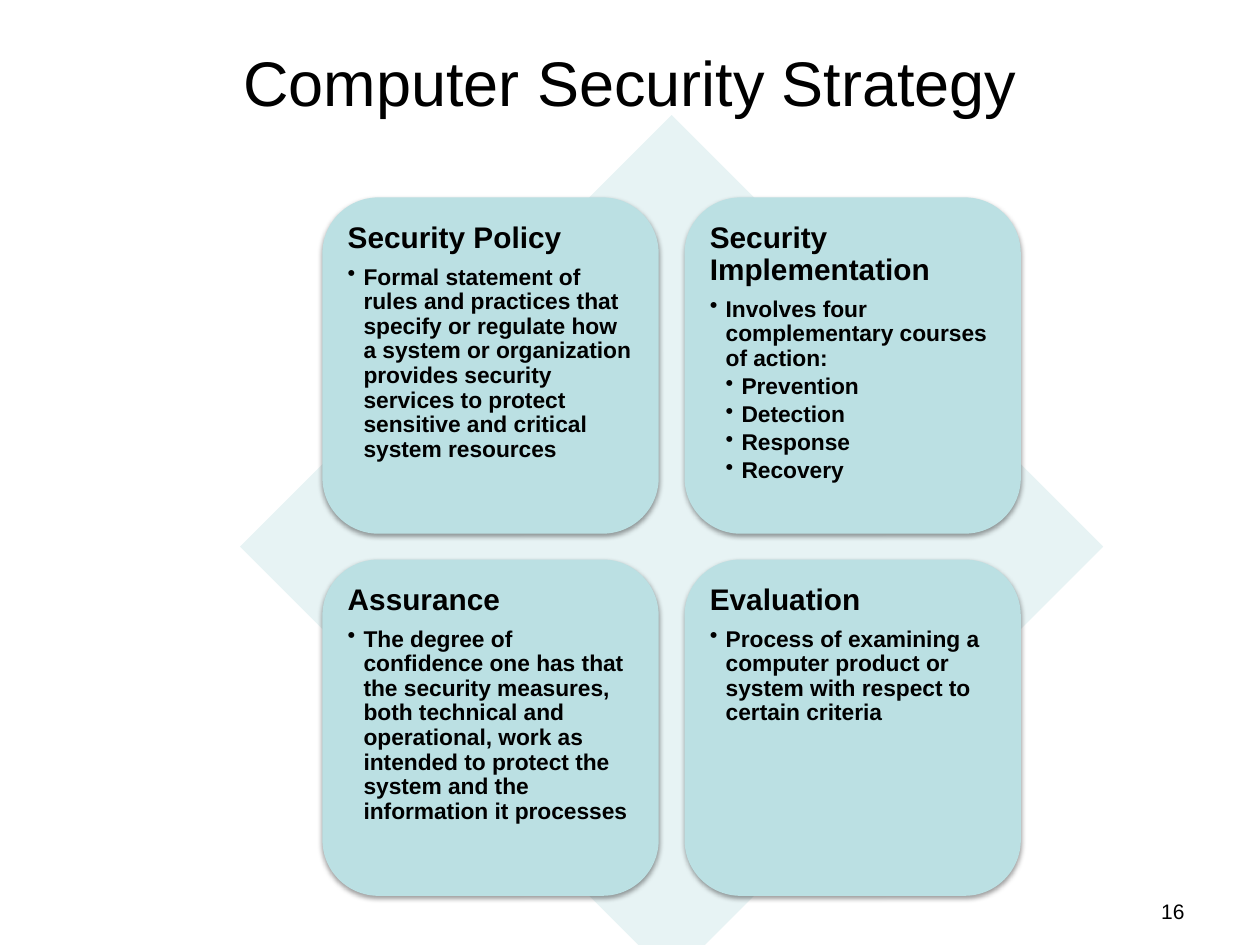
"""Build the Computer Security Strategy slide."""
from dataclasses import dataclass

from pptx import Presentation
from pptx.dml.color import RGBColor
from pptx.enum.shapes import MSO_SHAPE
from pptx.enum.text import MSO_ANCHOR, PP_ALIGN
from pptx.oxml import parse_xml
from pptx.oxml.ns import nsdecls
from pptx.util import Cm, Pt

BLACK = "000000"
TILE_COLOUR = "BBE0E3"
DIAMOND_COLOUR = "E7F3F4"
TILE_SIZE, TILE_PITCH = 6.78, 7.3
GRID_LEFT, GRID_TOP = 6.5, 3.98
DIAMOND_SIZE = 17.4
INDENT = 0.32


@dataclass(frozen=True)
class Tile:
    heading: str
    statement: str
    actions: tuple[str, ...] = ()


TILES = (
    Tile("Security Policy",
         "Formal statement of rules and practices that specify or regulate how a system "
         "or organization provides security services to protect sensitive and critical "
         "system resources"),
    Tile("Security Implementation",
         "Involves four complementary courses of action:",
         ("Prevention", "Detection", "Response", "Recovery")),
    Tile("Assurance",
         "The degree of confidence one has that the security measures, both technical and "
         "operational, work as intended to protect the system and the information it processes"),
    Tile("Evaluation",
         "Process of examining a computer product or system with respect to certain criteria"),
)


def colour(value: str) -> RGBColor:
    return RGBColor.from_string(value)


def write(paragraph, text: str, *, size: float, bold: bool = False,
          align=PP_ALIGN.LEFT, level: int = 0, line_spacing=None, space_after=None) -> None:
    if level:
        properties = paragraph._p.get_or_add_pPr()
        properties.set("marL", str(Cm(INDENT * level)))
        properties.set("indent", str(-Cm(INDENT)))
        properties.append(parse_xml(f'<a:buChar {nsdecls("a")} char="•"/>'))
        paragraph.level = level
    paragraph.alignment = align
    if line_spacing is not None:
        paragraph.line_spacing = line_spacing
    if space_after is not None:
        paragraph.space_after = Pt(space_after)
    run = paragraph.add_run()
    run.text = text
    run.font.name = "Arial"
    run.font.size = Pt(size)
    run.font.bold = bold
    run.font.color.rgb = colour(BLACK)


def add_block(slide, kind, left: float, top: float, size: float, fill: str):
    shape = slide.shapes.add_shape(kind, Cm(left), Cm(top), Cm(size), Cm(size))
    shape.shadow.inherit = False
    shape.fill.solid()
    shape.fill.fore_color.rgb = colour(fill)
    shape.line.fill.background()
    return shape


def add_soft_shadow(shape) -> None:
    effects = shape._element.spPr.find(
        "{http://schemas.openxmlformats.org/drawingml/2006/main}effectLst")
    effects.append(parse_xml(
        f'<a:outerShdw {nsdecls("a")} blurRad="{Pt(3.1)}" dist="{Pt(1.6)}" dir="5400000" '
        f'rotWithShape="0"><a:srgbClr val="{BLACK}"><a:alpha val="38000"/></a:srgbClr>'
        '</a:outerShdw>'))


def add_tile(slide, tile: Tile, left: float, top: float) -> None:
    shape = add_block(slide, MSO_SHAPE.ROUNDED_RECTANGLE, left, top, TILE_SIZE, TILE_COLOUR)
    add_soft_shadow(shape)
    frame = shape.text_frame
    frame.word_wrap = True
    frame.vertical_anchor = MSO_ANCHOR.TOP
    frame.margin_left = frame.margin_right = Cm(0.18)
    frame.margin_top = frame.margin_bottom = Cm(0.18)
    write(frame.paragraphs[0], tile.heading, size=17, bold=True,
          line_spacing=0.9, space_after=6)
    bullets = [(tile.statement, 1)] + [(action, 2) for action in tile.actions]
    for text, level in bullets:
        write(frame.add_paragraph(), text, size=13, bold=True, level=level,
              line_spacing=0.9, space_after=2)


def add_title(slide, text: str) -> None:
    title = slide.shapes.title
    title.left, title.top, title.width, title.height = Cm(0), Cm(0.05), Cm(25.4), Cm(3.18)
    title.text_frame.vertical_anchor = MSO_ANCHOR.MIDDLE
    write(title.text_frame.paragraphs[0], text, size=36, align=PP_ALIGN.CENTER)


def add_page_number(slide, text: str) -> None:
    box = slide.shapes.add_textbox(Cm(18.2), Cm(17.98), Cm(5.93), Cm(0.7))
    box.text_frame.word_wrap = True
    write(box.text_frame.paragraphs[0], text, size=12, align=PP_ALIGN.RIGHT)


def main() -> None:
    presentation = Presentation()
    presentation.slide_width, presentation.slide_height = Cm(25.4), Cm(19.05)
    slide = presentation.slides.add_slide(presentation.slide_layouts[5])
    add_title(slide, "Computer Security Strategy")
    add_page_number(slide, "16")
    overhang = (DIAMOND_SIZE - TILE_PITCH - TILE_SIZE) / 2
    add_block(slide, MSO_SHAPE.DIAMOND, GRID_LEFT - overhang, GRID_TOP - overhang,
              DIAMOND_SIZE, DIAMOND_COLOUR)
    for index, tile in enumerate(TILES):
        row, column = divmod(index, 2)
        add_tile(slide, tile, GRID_LEFT + column * TILE_PITCH, GRID_TOP + row * TILE_PITCH)
    presentation.save("out.pptx")


if __name__ == "__main__":
    main()
